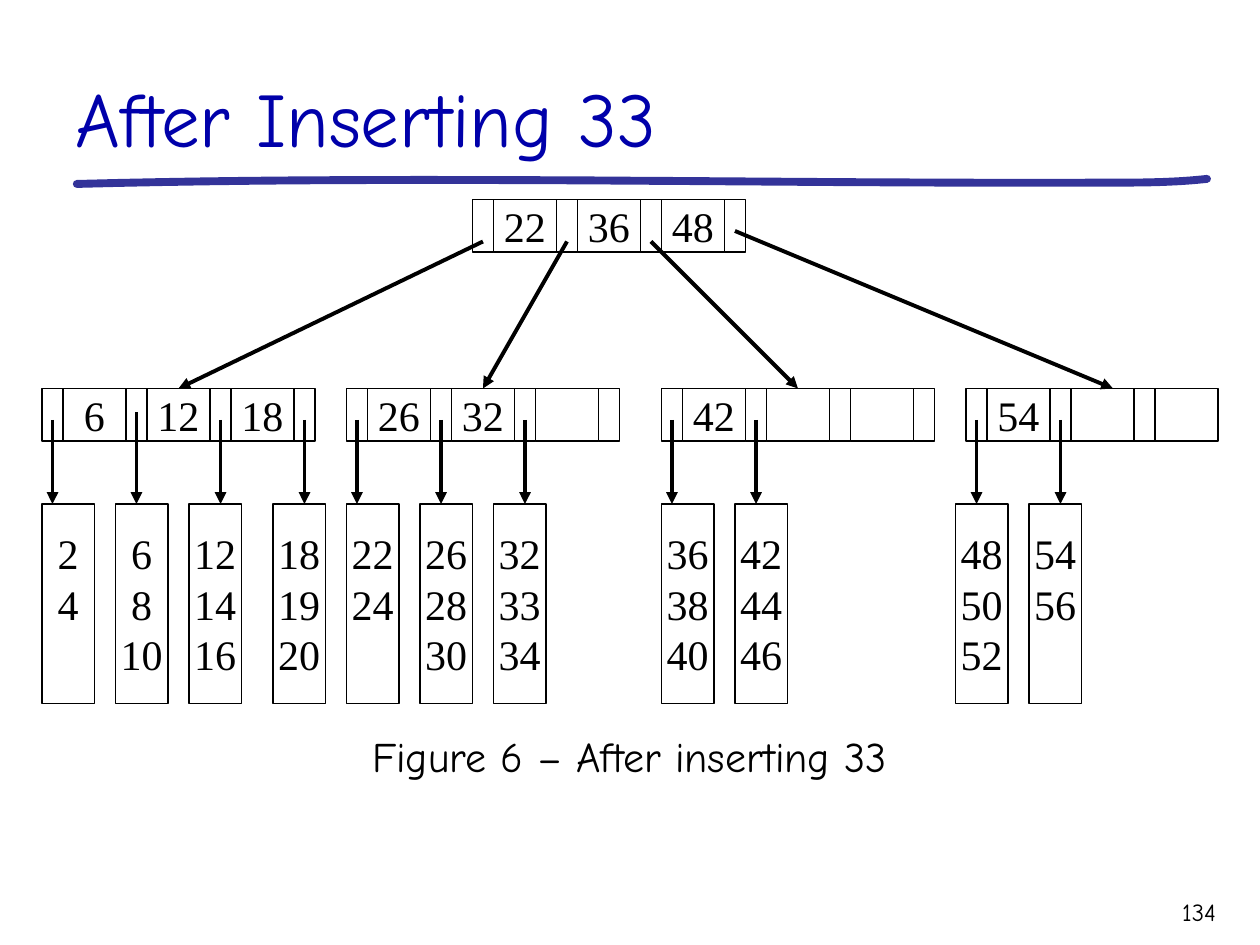
from dataclasses import dataclass

from lxml import etree
from pptx import Presentation
from pptx.dml.color import RGBColor
from pptx.enum.shapes import MSO_CONNECTOR, MSO_SHAPE
from pptx.enum.text import MSO_ANCHOR, PP_ALIGN
from pptx.oxml.ns import qn
from pptx.util import Inches, Pt

RECTANGLE, STRAIGHT = MSO_SHAPE.RECTANGLE, MSO_CONNECTOR.STRAIGHT
TOP, MIDDLE, BOTTOM = MSO_ANCHOR.TOP, MSO_ANCHOR.MIDDLE, MSO_ANCHOR.BOTTOM
LEFT, CENTER, RIGHT = PP_ALIGN.LEFT, PP_ALIGN.CENTER, PP_ALIGN.RIGHT


@dataclass(frozen=True)
class Theme:
    ink: RGBColor = RGBColor(0x00, 0x00, 0x00)
    title: RGBColor = RGBColor(0x00, 0x00, 0xAA)
    rule: RGBColor = RGBColor(0x33, 0x33, 0x99)
    heading_font: str = "Comic Neue"
    key_font: str = "Times New Roman"
    title_size: int = 44
    body_size: int = 24
    number_size: int = 14
    border: float = 0.75
    arrow: float = 2.25
    rule_width: float = 4.5


# The tree sits on a grid of twelfths of an inch
GRID = 12
POINTER_W, KEY_W, NODE_H = 2, 6, 5
STEP = POINTER_W + KEY_W
LEAF_W, LEAF_H = 5, 19
ROOT_TOP, NODE_TOP, LEAF_TOP = 19, 37, 48

ROOT_LEFT, ROOT_KEYS = 45, ["22", "36", "48"]
# Where each arrow from the root starts (y) and lands (x)
ROOT_ARROWS = [(23, 17), (23, 46), (23, 76), (22, 106)]
# Leaf arrows start here, except the one at x = 13, which starts higher
LEAF_ARROW_TOP, HIGHER_ARROW_TOPS = 40, {13: 39.25}

# Left edge, keys, whether the last pointer is drawn, leaves by left edge
NODES = [
    (4, ["6", "12", "18"], True,
     {4: ["2", "4"], 11: ["6", "8", "10"],
      18: ["12", "14", "16"], 26: ["18", "19", "20"]}),
    (33, ["26", "32", ""], True,
     {33: ["22", "24"], 40: ["26", "28", "30"], 47: ["32", "33", "34"]}),
    (63, ["42", "", ""], True,
     {63: ["36", "38", "40"], 70: ["42", "44", "46"]}),
    (92, ["54", "", ""], False,
     {91: ["48", "50", "52"], 98: ["54", "56"]}),
]

# Title rule: start point, then cubic segments
RULE_START = (0.61, 1.46)
RULE_CURVES = [
    ((3.33, 1.39), (6.05, 1.46), (8.76, 1.45)),
    ((9.04, 1.45), (9.31, 1.45), (9.58, 1.42)),
]


def write_text(shape, lines, *, font, size, color, align=LEFT, anchor=TOP,
               wrap=True, inset_top=0.05):
    frame = shape.text_frame
    frame.word_wrap = wrap
    frame.vertical_anchor = anchor
    frame.margin_top = Inches(inset_top)
    for index, line in enumerate(lines):
        paragraph = frame.add_paragraph() if index else frame.paragraphs[0]
        paragraph.alignment = align
        run = paragraph.add_run()
        run.text = line
        run.font.name = font
        run.font.size = Pt(size)
        run.font.color.rgb = color


def curve_points(start, curves, steps=24):
    points = [start]
    for c1, c2, end in curves:
        for step in range(1, steps + 1):
            t = step / steps
            points.append(tuple(
                (1 - t) ** 3 * a + 3 * (1 - t) ** 2 * t * b
                + 3 * (1 - t) * t ** 2 * c + t ** 3 * d
                for a, b, c, d in zip(start, c1, c2, end)))
        start = end
    return points


class TreeSlide:
    def __init__(self, slide, theme):
        self.shapes = slide.shapes
        self.theme = theme

    def label(self, text, left, top, width, height, size, **style):
        box = self.shapes.add_textbox(*map(Inches, (left, top, width, height)))
        style = {"font": self.theme.heading_font, "color": self.theme.ink} | style
        write_text(box, [text], size=size, **style)

    def title_rule(self):
        start, *rest = [(Inches(x), Inches(y))
                        for x, y in curve_points(RULE_START, RULE_CURVES)]
        builder = self.shapes.build_freeform(*start)
        builder.add_line_segments(rest, close=False)
        rule = builder.convert_to_shape()
        rule.shadow.inherit = False
        rule.fill.background()
        rule.line.color.rgb = self.theme.rule
        rule.line.width = Pt(self.theme.rule_width)
        outline = rule.line._get_or_add_ln()
        outline.set("cap", "rnd")
        etree.SubElement(outline, qn("a:round"))

    def cell(self, left, top, width, height, lines=(), **style):
        bounds = (Inches(value / GRID) for value in (left, top, width, height))
        box = self.shapes.add_shape(RECTANGLE, *bounds)
        box.shadow.inherit = False
        box.fill.background()
        box.line.color.rgb = self.theme.ink
        box.line.width = Pt(self.theme.border)
        write_text(box, lines, font=self.theme.key_font, size=self.theme.body_size,
                   color=self.theme.ink, align=CENTER, wrap=False, **style)

    def node(self, left, top, keys, last_pointer=True):
        for index, key in enumerate(keys):
            x = left + index * STEP
            self.cell(x, top, POINTER_W, NODE_H)
            self.cell(x + POINTER_W, top, KEY_W, NODE_H, [key] if key else [],
                      anchor=MIDDLE)
        if last_pointer:
            self.cell(left + len(keys) * STEP, top, POINTER_W, NODE_H)

    def leaf(self, left, values):
        self.cell(left, LEAF_TOP, LEAF_W, LEAF_H, values, inset_top=0.19)

    def arrow(self, *ends):
        line = self.shapes.add_connector(
            STRAIGHT, *(Inches(value / GRID) for value in ends))
        line.line.color.rgb = self.theme.ink
        line.line.width = Pt(self.theme.arrow)
        etree.SubElement(line.line._get_or_add_ln(), qn("a:tailEnd"), type="triangle")
        etree.SubElement(line._element.spPr, qn("a:effectLst"))


def main():
    deck = Presentation()
    deck.slide_width, deck.slide_height = Inches(10), Inches(7.5)
    theme = Theme()
    page = TreeSlide(deck.slides.add_slide(deck.slide_layouts[6]), theme)

    # Title and page number
    page.title_rule()
    page.label("After Inserting 33", 0.5, 0.17, 9.25, 1.17, theme.title_size,
               color=theme.title, anchor=BOTTOM)
    page.label("134", 8.75, 7.07, 1, 0.35, theme.number_size, align=RIGHT)

    # Tree nodes and leaves
    page.node(ROOT_LEFT, ROOT_TOP, ROOT_KEYS)
    for left, keys, last_pointer, leaves in NODES:
        page.node(left, NODE_TOP, keys, last_pointer)
        for leaf_left, values in leaves.items():
            page.leaf(leaf_left, values)

    # Arrows from each pointer to its child
    for left, _, _, leaves in NODES:
        for index in range(len(leaves)):
            x = left + POINTER_W / 2 + index * STEP
            page.arrow(x, HIGHER_ARROW_TOPS.get(x, LEAF_ARROW_TOP), x, LEAF_TOP)
    for index, (start_y, target_x) in enumerate(ROOT_ARROWS):
        x = ROOT_LEFT + POINTER_W / 2 + index * STEP
        page.arrow(x, start_y, target_x, NODE_TOP)

    # Caption
    page.label("Figure 6 – After inserting 33", 0.33, 5.75, 9.33, 0.5,
               theme.body_size, align=CENTER)
    deck.save("out.pptx")


if __name__ == "__main__":
    main()
